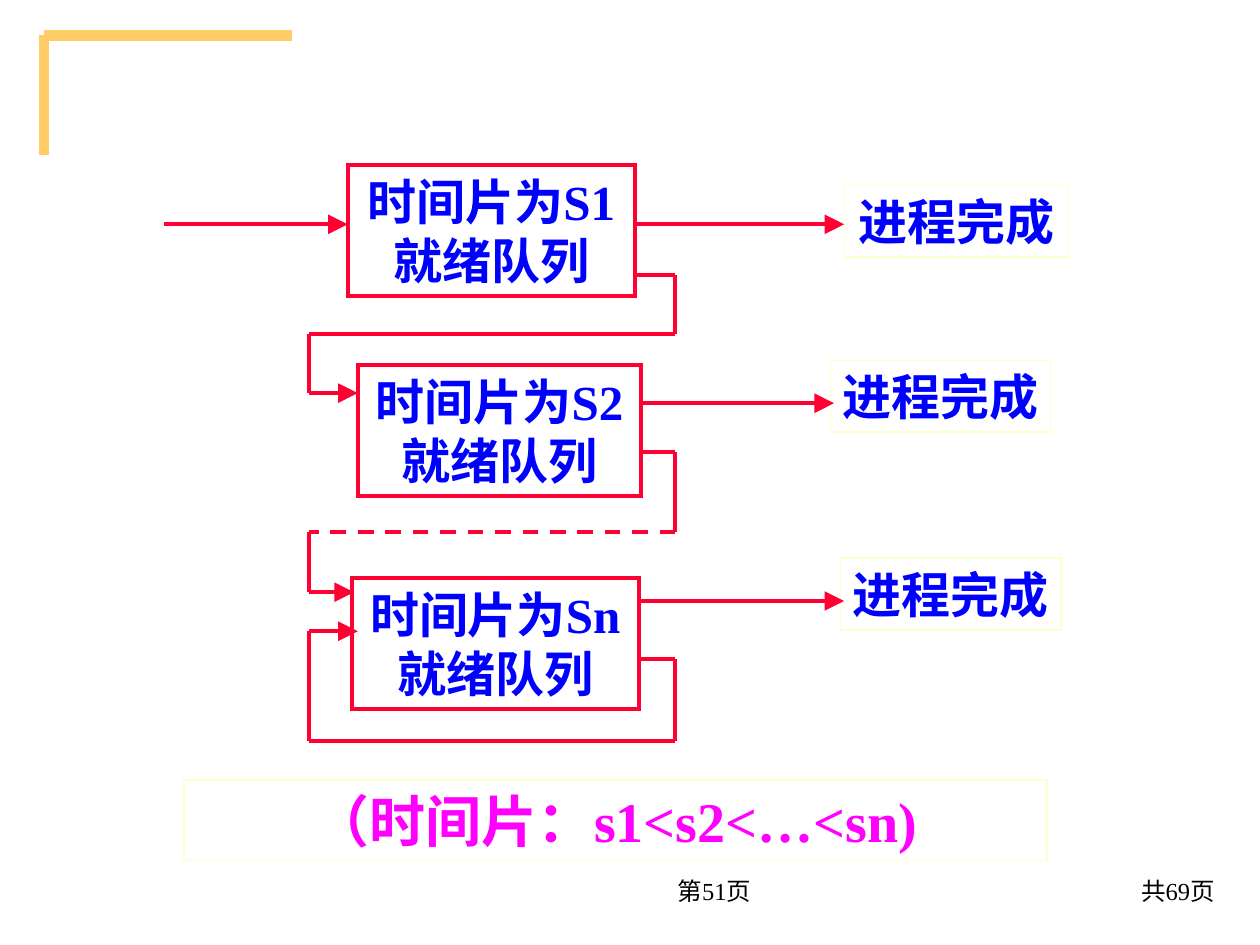
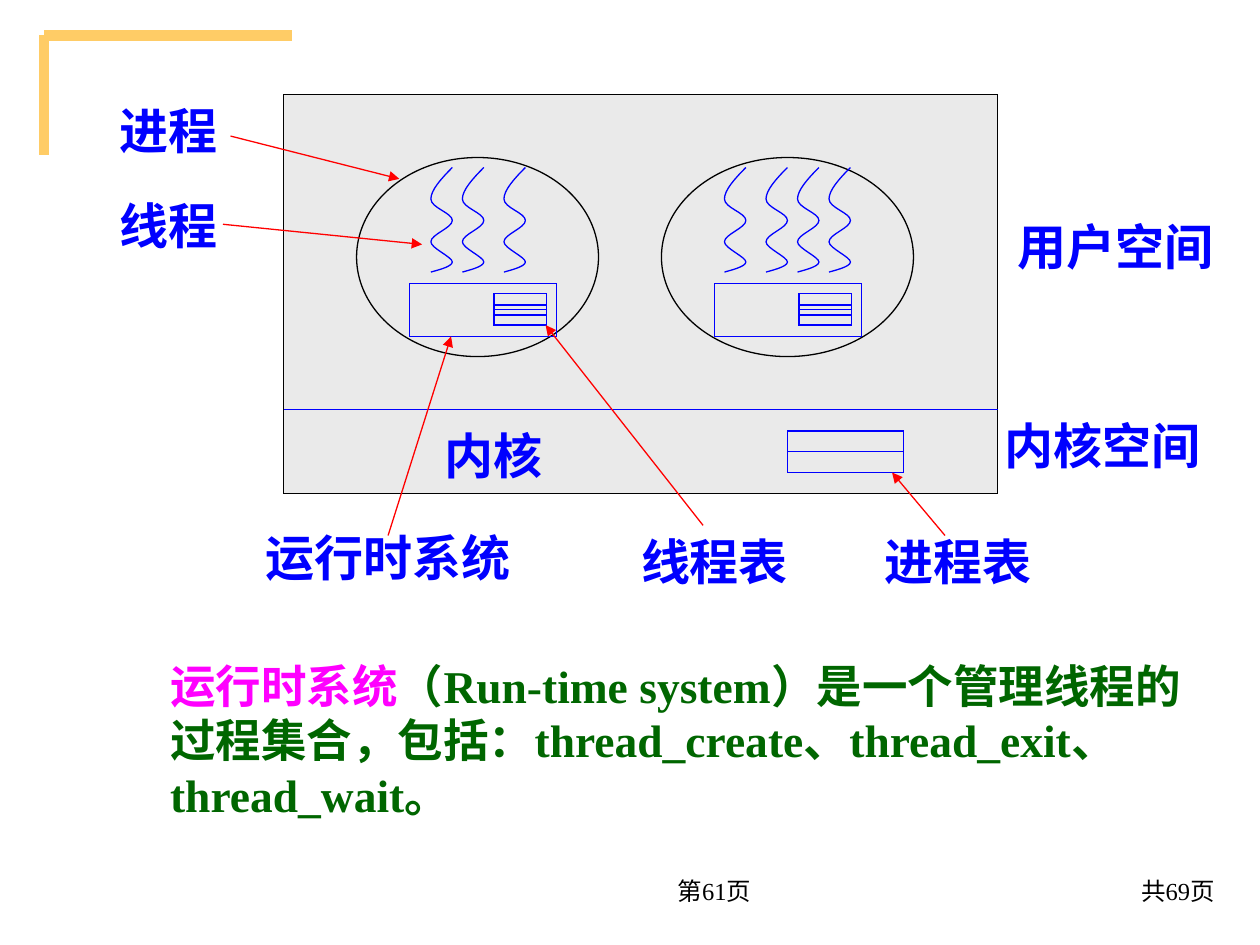
from dataclasses import dataclass
from itertools import pairwise

from lxml.etree import SubElement
from pptx import Presentation
from pptx.dml.color import RGBColor
from pptx.enum.dml import MSO_LINE
from pptx.enum.shapes import MSO_CONNECTOR, MSO_SHAPE
from pptx.enum.text import MSO_ANCHOR, MSO_AUTO_SIZE, PP_ALIGN
from pptx.oxml.ns import qn
from pptx.util import Pt

PX = 9144  # EMU per px, 100 px to the inch
LEFT, RIGHT = 1, 3  # connection sites of a rectangle


@dataclass(frozen=True)
class Theme:
    font: str = "Times New Roman"
    black: str = "000000"
    blue: str = "0000FF"
    crimson: str = "FF0033"
    red: str = "FF0000"
    magenta: str = "FF00FF"
    green: str = "006600"
    gold: str = "FFCC66"
    cream: str = "FFFFCC"
    grey: str = "EAEAEA"
    footer: int = 14
    body: int = 26
    label: int = 28
    summary: int = 32
    thin: float = 0.75
    medium: float = 2.25
    thick: float = 6


T = Theme()


# ---- Formatting ----
def px(*values):
    return [v * PX for v in values]


def set_attrs(obj, values):
    for name, value in values.items():
        setattr(obj, name, value)


def add_run(p, text, size, color, bold=True):
    r = p.add_run()
    r.text = text
    set_attrs(r.font, {"name": T.font, "size": Pt(size), "bold": bold})
    r.font.color.rgb = RGBColor.from_string(color)


def write(sp, text, size=T.label, color=T.blue, bold=True, wrap=True,
          anchor=MSO_ANCHOR.TOP, **para):
    tf = sp.text_frame
    set_attrs(tf, {"word_wrap": wrap, "auto_size": MSO_AUTO_SIZE.NONE,
                   "vertical_anchor": anchor})
    for i, line in enumerate(text.split("\n")):
        p = tf.add_paragraph() if i else tf.paragraphs[0]
        set_attrs(p, {"alignment": PP_ALIGN.CENTER, **para})
        add_run(p, line, size, color, bold)


def outline(obj, color, width):
    obj.line.color.rgb = RGBColor.from_string(color)
    obj.line.width = Pt(width)


# ---- Elements ----
def add_label(s, box, text, **fmt):
    write(s.shapes.add_textbox(*px(*box)), text, **fmt)


def add_box(s, box, color, width=T.thin, fill=None, kind=MSO_SHAPE.RECTANGLE):
    sp = s.shapes.add_shape(kind, *px(*box))
    sp.shadow.inherit = False
    if fill:
        sp.fill.solid()
        sp.fill.fore_color.rgb = RGBColor.from_string(fill)
    else:
        sp.fill.background()
    outline(sp, color, width)
    SubElement(sp._element.spPr.find(qn("a:ln")), qn("a:miter"), lim="800000")
    return sp


def add_line(s, start, end, color, width=T.thin, arrow=None, dashed=False):
    """Straight line; arrow is the size of the head at its end, if any."""
    cxn = s.shapes.add_connector(MSO_CONNECTOR.STRAIGHT, *px(*start, *end))
    outline(cxn, color, width)
    if dashed:
        cxn.line.dash_style = MSO_LINE.DASH
    sp_pr = cxn._element.spPr
    if arrow:
        SubElement(sp_pr.find(qn("a:ln")), qn("a:tailEnd"),
                   type="triangle", w=arrow, len=arrow)
    SubElement(sp_pr, qn("a:effectLst"))
    return cxn


def add_split_box(s, box):
    """Rectangle with a line joined across its middle."""
    sp = add_box(s, box, T.blue)
    x, y, w, h = box
    middle = y + h // 2
    cxn = add_line(s, (x, middle), (x + w, middle), T.blue)
    cxn.begin_connect(sp, LEFT)
    cxn.end_connect(sp, RIGHT)


def add_feedback(s, x_out, y_out, y_turn, y_in, x_in, dashed=False):
    """Route from the right of one queue round to the left of the next."""
    right, left = 536, 245
    points = [(x_out, y_out), (right, y_out), (right, y_turn),
              (left, y_turn), (left, y_in), (x_in, y_in)]
    for i, (a, b) in enumerate(pairwise(points)):
        add_line(s, a, b, T.crimson, T.medium, arrow="lg" if i == 4 else None,
                 dashed=dashed and i == 2)


def add_thread(s, x, y=133):
    """Wavy line: each curve has two control points and an end point."""
    curves = [((8, 9), (0, 18), (0, 25)), ((0, 32), (17, 36), (17, 42)),
              ((17, 48), (0, 53), (0, 59)), ((0, 64), (17, 71), (17, 75)),
              ((17, 79), (3, 82), (0, 83))]
    builder = s.shapes.build_freeform(x + 17, y, scale=float(PX))
    builder.add_line_segments([(x + c[2][0], y + c[2][1]) for c in curves], close=False)
    sp = builder.convert_to_shape()
    sp.shadow.inherit = False
    sp.fill.background()
    outline(sp, T.blue, T.thin)
    segments = list(sp._element.iter(qn("a:lnTo")))
    for segment, curve in zip(segments, curves):
        segment.tag = qn("a:cubicBezTo")
        for i, (cx, cy) in enumerate(curve[:2]):
            pt = SubElement(segment, qn("a:pt"), x=str(cx), y=str(cy))
            segment.insert(i, pt)


def add_process(s, x, width, threads):
    """Process oval with its threads, runtime system and thread table."""
    add_box(s, (x, 125, width, 158), T.black, kind=MSO_SHAPE.OVAL)
    add_box(s, (x + 42, 225, 117, 42), T.blue)
    table_x = x + 109
    add_split_box(s, (table_x, 233, 42, 25))
    for y in (242, 250):
        add_line(s, (table_x, y), (table_x + 42, y), T.blue)
    for thread_x in threads:
        add_thread(s, thread_x)


def add_frame(s, page):
    """Corner lines and page footers shared by all slides."""
    for end in ((232, 28), (35, 123)):
        add_line(s, (35, 28), end, T.gold, T.thick)
    for box, text in (((657, 682, 317, 50), "共69页"),
                      ((398, 682, 208, 50), f"第{page}页")):
        add_label(s, box, text, size=T.footer, color=T.black, bold=False,
                  anchor=MSO_ANCHOR.MIDDLE, alignment=PP_ALIGN.RIGHT)


# ---- Slides ----
def build_queues(prs):
    s = prs.slides.add_slide(prs.slide_layouts[6])
    add_frame(s, 51)
    summary = add_box(s, (146, 619, 685, 64), T.cream)
    write(summary, "（时间片：s1<s2<…<sn)", size=T.summary, color=T.magenta)

    # Ready queues
    queues = (((276, 131, 228, 104), "时间片为S1就绪队列"),
              ((284, 290, 225, 104), "时间片为S2\n就绪队列"),
              ((279, 459, 228, 104), "时间片为Sn\n就绪队列"))
    for box, text in queues:
        write(add_box(s, box, T.crimson, T.medium), text, wrap="\n" not in text)

    # Completed processes
    for x, y, w in ((670, 147, 178), (659, 286, 175), (667, 443, 175)):
        write(add_box(s, (x, y, w, 57), T.cream), "进程完成", wrap=False)

    # Entry and completion arrows
    for start, end, y in ((130, 276, 178), (504, 670, 178),
                          (507, 662, 320), (507, 670, 477)):
        add_line(s, (start, y), (end, y), T.crimson, T.medium, arrow="lg")

    # Unfinished processes move down a queue
    add_feedback(s, 504, 218, 265, 312, 284)
    add_feedback(s, 509, 359, 422, 470, 281, dashed=True)
    add_feedback(s, 509, 523, 588, 501, 284)


def build_threads(prs):
    s = prs.slides.add_slide(prs.slide_layouts[1])
    title = s.shapes.title._element
    title.getparent().remove(title)
    add_frame(s, 61)

    # Definition
    body = s.placeholders[1]
    set_attrs(body, dict(zip(("left", "top", "width", "height"), px(58, 517, 892, 175))))
    tf = body.text_frame
    set_attrs(tf, {"word_wrap": True, "auto_size": MSO_AUTO_SIZE.NONE})
    p = tf.paragraphs[0]
    p_pr = p._p.get_or_add_pPr()
    p_pr.set("marL", str(67 * PX))
    p_pr.set("indent", "0")
    SubElement(p_pr, qn("a:buNone"))
    p.space_before = Pt(0)
    add_run(p, "运行时系统", T.body, T.magenta)
    add_run(p, "（Run-time system）是一个管理线程的过程集合，包括："
               "thread_create、thread_exit、thread_wait。", T.body, T.green)

    # User space above kernel space
    add_box(s, (225, 75, 567, 317), T.black, fill=T.grey)
    add_process(s, 283, 192, (342, 367, 400))
    add_process(s, 525, 200, (575, 608, 633, 658))
    add_line(s, (225, 325), (792, 325), T.blue)
    add_split_box(s, (625, 342, 92, 33))

    # Labels
    for x, y, w, text in ((325, 333, 133, "内核"), (791, 167, 189, "用户空间"),
                          (775, 325, 200, "内核空间"), (685, 417, 150, "进程表"),
                          (492, 417, 150, "线程表"), (50, 75, 167, "进程"),
                          (83, 150, 102, "线程")):
        add_label(s, (x, y, w, 57), text, wrap=False)
    add_label(s, (133, 417, 350, 55), "运行时系统", line_spacing=0.95)

    # Pointers from labels
    for start, end in (((558, 417), (433, 258)), ((308, 425), (358, 267)),
                       ((750, 425), (708, 375)), ((183, 108), (317, 142)),
                       ((177, 178), (335, 194))):
        add_line(s, start, end, T.red, arrow="med")


def main():
    prs = Presentation()
    prs.slide_width, prs.slide_height = px(1000, 750)
    build_queues(prs)
    build_threads(prs)
    prs.save("out.pptx")


if __name__ == "__main__":
    main()
